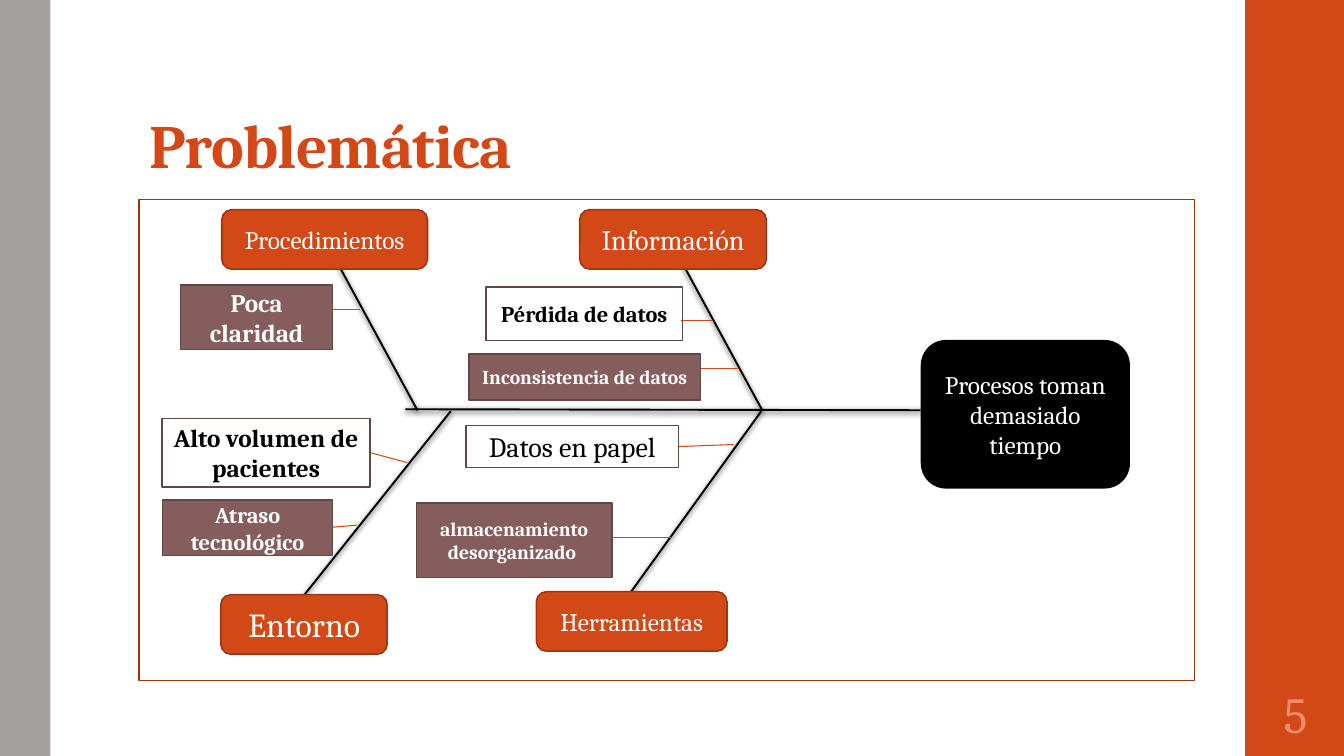
"""Build the fishbone (cause and effect) slide "Problemática"."""
from typing import NamedTuple, Optional

from lxml.etree import SubElement
from pptx import Presentation
from pptx.dml.color import RGBColor
from pptx.enum.shapes import MSO_CONNECTOR, MSO_SHAPE
from pptx.enum.text import MSO_ANCHOR, PP_ALIGN
from pptx.oxml import parse_xml
from pptx.oxml.ns import nsdecls, qn
from pptx.util import Inches, Pt

FONT = "Cambria"
ORANGE = RGBColor(0xD3, 0x48, 0x17)
DARK_ORANGE = RGBColor(0x9C, 0x35, 0x11)
SALMON = RGBColor(0xEF, 0x8C, 0x6A)
MAUVE = RGBColor(0x85, 0x5D, 0x5D)
DARK_MAUVE = RGBColor(0x62, 0x45, 0x45)
GREY = RGBColor(0xA6, 0xA1, 0xA1)
BLACK = RGBColor(0, 0, 0)
WHITE = RGBColor(0xFF, 0xFF, 0xFF)


class Style(NamedTuple):
    """Look of one kind of box."""
    shape: MSO_SHAPE
    fill: Optional[RGBColor]
    line: Optional[RGBColor]
    color: RGBColor = WHITE
    bold: bool = False


class Box(NamedTuple):
    """A box with its place in inches and its text."""
    style: Style
    left: float
    top: float
    width: float
    height: float
    text: str = ""
    size: int = 18


class Line(NamedTuple):
    """A straight line between two points in inches."""
    x1: float
    y1: float
    x2: float
    y2: float


ORANGE_BAND = Style(MSO_SHAPE.RECTANGLE, ORANGE, None)
GREY_BAND = Style(MSO_SHAPE.RECTANGLE, GREY, None)
FRAME = Style(MSO_SHAPE.RECTANGLE, WHITE, DARK_ORANGE)
CATEGORY = Style(MSO_SHAPE.ROUNDED_RECTANGLE, ORANGE, DARK_ORANGE)
EFFECT = Style(MSO_SHAPE.ROUNDED_RECTANGLE, BLACK, BLACK)
FILLED = Style(MSO_SHAPE.RECTANGLE, MAUVE, DARK_MAUVE, WHITE, True)
OPEN_BOLD = Style(MSO_SHAPE.RECTANGLE, None, DARK_MAUVE, BLACK, True)
OPEN = Style(MSO_SHAPE.RECTANGLE, None, DARK_MAUVE, BLACK)

BACKDROP = [
    Box(ORANGE_BAND, 12.35, 0, 0.98, 7.5),
    Box(GREY_BAND, 0, 0, 0.5, 7.5),
    Box(FRAME, 1.38, 1.98, 10.47, 4.77),
]
BONES = [
    Line(4.02, 4.06, 9.13, 4.07),
    Line(3.31, 2.54, 4.14, 4.07),
    Line(3.02, 5.9, 4.47, 4.08),
    Line(6.73, 2.54, 7.56, 4.07),
    Line(6.26, 5.87, 7.55, 4.08),
]
LEADERS = [
    Line(3.24, 3.07, 3.57, 3.07),
    Line(3.67, 4.49, 4.04, 4.59),
    Line(3.3, 5.23, 3.54, 5.21),
    Line(6.75, 3.18, 7.06, 3.18),
    Line(6.94, 3.66, 7.33, 3.66),
    Line(6.73, 4.43, 7.28, 4.41),
    Line(6.08, 5.33, 6.66, 5.33),
]
BOXES = [
    Box(EFFECT, 9.14, 3.38, 2.06, 1.46, "Procesos toman demasiado tiempo"),
    Box(CATEGORY, 2.2, 2.08, 2.04, 0.59, "Procedimientos"),
    Box(CATEGORY, 5.75, 2.08, 1.85, 0.59, "Información", 20),
    Box(CATEGORY, 2.19, 5.9, 1.65, 0.59, "Entorno", 24),
    Box(CATEGORY, 5.32, 5.87, 1.89, 0.59, "Herramientas"),
    Box(FILLED, 1.79, 2.83, 1.51, 0.64, "Poca claridad"),
    Box(OPEN_BOLD, 1.61, 4.15, 2.06, 0.68, "Alto volumen de pacientes"),
    Box(FILLED, 1.61, 4.96, 1.69, 0.55, "Atraso tecnológico", 16),
    Box(OPEN_BOLD, 4.82, 2.85, 1.95, 0.53, "Pérdida de datos", 16),
    Box(FILLED, 4.65, 3.51, 2.3, 0.46, "Inconsistencia de datos", 14),
    Box(OPEN, 4.62, 4.22, 2.11, 0.42, "Datos en papel", 20),
    Box(FILLED, 4.13, 4.99, 1.94, 0.74, "almacenamiento desorganizado ", 14),
]


def write(sp, text: str, size: int, color: RGBColor, bold: bool = False,
          align=PP_ALIGN.CENTER, anchor=MSO_ANCHOR.MIDDLE):
    """Put one formatted paragraph in a shape and return it."""
    tf = sp.text_frame
    tf.word_wrap = True
    tf.vertical_anchor = anchor
    p = tf.paragraphs[0]
    p.text = text
    p.alignment = align
    p.font.name = FONT
    p.font.size = Pt(size)
    p.font.bold = bold
    p.font.color.rgb = color
    return p


def add_box(s, box: Box) -> None:
    """Draw a box in its style, with text if it has any."""
    style = box.style
    sp = s.shapes.add_shape(style.shape, Inches(box.left), Inches(box.top),
                            Inches(box.width), Inches(box.height))
    sp.shadow.inherit = False
    if style.fill is None:
        sp.fill.background()
    else:
        sp.fill.solid()
        sp.fill.fore_color.rgb = style.fill
    if style.line is None:
        sp.line.fill.background()
    else:
        sp.line.color.rgb = style.line
        sp.line.width = Pt(1.1)
    if box.text:
        write(sp, box.text, box.size, style.color, style.bold)


def add_line(s, line: Line, color: RGBColor, width: float, shadow: bool = False) -> None:
    """Draw a straight line, with a soft shadow below it on request."""
    c = s.shapes.add_connector(MSO_CONNECTOR.STRAIGHT, Inches(line.x1), Inches(line.y1),
                               Inches(line.x2), Inches(line.y2))
    c.line.color.rgb = color
    c.line.width = Pt(width)
    effects = SubElement(c._element.spPr, qn("a:effectLst"))
    if shadow:
        effects.append(parse_xml(
            f'<a:outerShdw {nsdecls("a")} blurRad="{Pt(4)}" dist="{Pt(1.2)}" dir="5400000" '
            f'rotWithShape="0"><a:srgbClr val="{BLACK}"><a:alpha val="75000"/></a:srgbClr>'
            '</a:outerShdw>'))


def add_title(s) -> None:
    """Write the slide title."""
    sp = s.shapes.add_textbox(Inches(1.38), Inches(0.32), Inches(10.6), Inches(1.53))
    sp.text_frame.margin_top = Inches(0.03)
    p = write(sp, "Problemática", 44, ORANGE, True, PP_ALIGN.LEFT, MSO_ANCHOR.BOTTOM)
    p.line_spacing = 0.9
    p.runs[0]._r.get_or_add_rPr().set("spc", "-50")


def add_slide_number(s) -> None:
    """Write the slide number on the orange band."""
    sp = s.shapes.add_textbox(Inches(12.35), Inches(6.75), Inches(1), Inches(0.65))
    sp.text_frame.margin_left = sp.text_frame.margin_right = Inches(0.05)
    write(sp, "5", 36, SALMON)


def main() -> None:
    """Build and save the slide."""
    prs = Presentation()
    prs.slide_width, prs.slide_height = Inches(13.33), Inches(7.5)
    s = prs.slides.add_slide(prs.slide_layouts[6])
    for box in BACKDROP:
        add_box(s, box)
    add_title(s)
    add_slide_number(s)
    for bone in BONES:
        add_line(s, bone, BLACK, 1.35, shadow=True)
    for leader in LEADERS:
        add_line(s, leader, ORANGE, 0.75)
    for box in BOXES:
        add_box(s, box)
    prs.save("out.pptx")


main()
